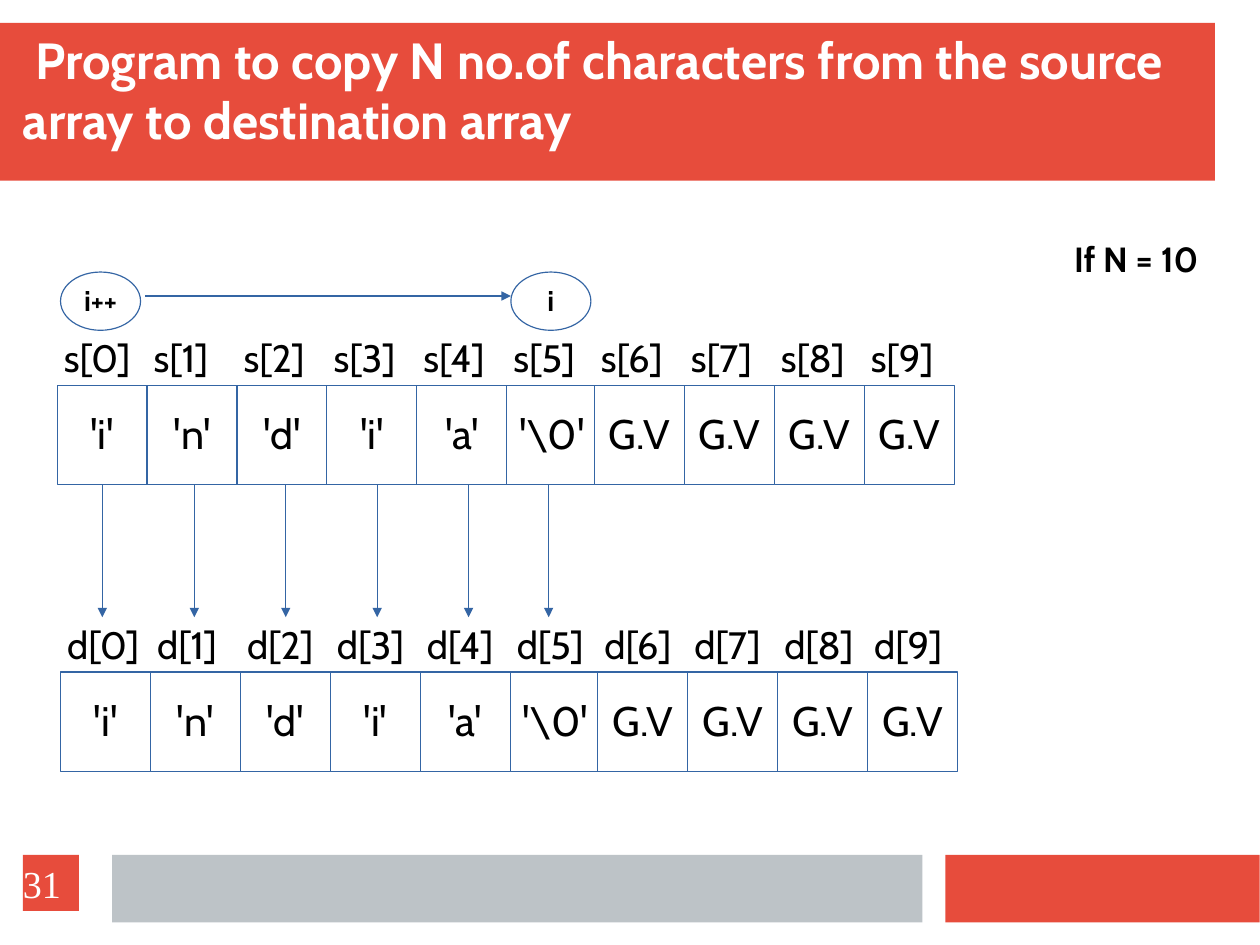
from lxml import etree
from pptx import Presentation
from pptx.dml.color import RGBColor
from pptx.enum.shapes import MSO_CONNECTOR, MSO_SHAPE
from pptx.enum.text import MSO_ANCHOR, PP_ALIGN
from pptx.oxml.ns import qn
from pptx.util import Inches, Pt

RED = RGBColor(0xE7, 0x4C, 0x3C)
GRAY = RGBColor(0xBD, 0xC3, 0xC7)
BLUE = RGBColor(0x34, 0x65, 0xA4)
WHITE = RGBColor(0xFF, 0xFF, 0xFF)
BLACK = RGBColor(0, 0, 0)
RECT, OVAL = MSO_SHAPE.RECTANGLE, MSO_SHAPE.OVAL
STRAIGHT = MSO_CONNECTOR.STRAIGHT
TOP, MIDDLE, BOTTOM = MSO_ANCHOR.TOP, MSO_ANCHOR.MIDDLE, MSO_ANCHOR.BOTTOM
LEFT, CENTER = PP_ALIGN.LEFT, PP_ALIGN.CENTER

CM_PER_INCH = 2.54
SLIDE_W, SLIDE_H = 28 / CM_PER_INCH, 21 / CM_PER_INCH
WORD = ["'i'", "'n'", "'d'", "'i'", "'a'", r"'\0'"]
VALUES = WORD + ["G.V"] * 4
CELL_W, CELL_H = 0.79, 0.87
PITCH = 7.08 / 9
GARBAGE_SHIFT = 0.02
SOURCE_X, SOURCE_Y = 0.5, 3.37
DEST_X, DEST_Y = 0.53, 5.88


def write(shape, text, size=26, color=BLACK, bold=False, font="Cabin", align=LEFT,
          anchor=TOP, wrap=False, inset=True, spacing=0.97, indent=0):
    tf = shape.text_frame
    tf.word_wrap = wrap
    tf.vertical_anchor = anchor
    tf.margin_left = tf.margin_right = Inches(0.1 if inset else 0)
    tf.margin_top = tf.margin_bottom = Inches(0.05 if inset else 0)
    p = tf.paragraphs[0]
    p.alignment = align
    p.line_spacing = spacing
    if indent:
        pPr = p._p.get_or_add_pPr()
        pPr.set("marL", "0")
        pPr.set("indent", str(Inches(indent)))
    r = p.add_run()
    r.text = text
    r.font.name = font
    r.font.size = Pt(size)
    r.font.bold = bold
    r.font.color.rgb = color


class Deck:
    """Holds the line style and the slide being drawn."""

    def __init__(self, slide, line_color=BLUE, line_width=0.75):
        self.s = slide
        self.line_color = line_color
        self.line_width = Pt(line_width)

    def outline(self, line):
        line.color.rgb = self.line_color
        line.width = self.line_width

    def shape(self, kind, x, y, w, h, fill):
        """Adds a filled preset shape without line or shadow."""
        sp = self.s.shapes.add_shape(kind, Inches(x), Inches(y), Inches(w), Inches(h))
        sp.shadow.inherit = False
        sp.fill.solid()
        sp.fill.fore_color.rgb = fill
        sp.line.fill.background()
        return sp

    def node(self, kind, x, y, w, h, text, **fmt):
        """Adds a white outlined shape with centred text."""
        sp = self.shape(kind, x, y, w, h, WHITE)
        self.outline(sp.line)
        write(sp, text, align=CENTER, anchor=MIDDLE, **fmt)
        return sp

    def text(self, x, y, w, h, text, **fmt):
        tb = self.s.shapes.add_textbox(Inches(x), Inches(y), Inches(w), Inches(h))
        write(tb, text, **fmt)

    def arrow(self, x1, y1, x2, y2):
        c = self.s.shapes.add_connector(STRAIGHT, Inches(x1), Inches(y1),
                                        Inches(x2), Inches(y2))
        self.outline(c.line)
        etree.SubElement(c.line._get_or_add_ln(), qn("a:tailEnd"), type="triangle")
        etree.SubElement(c._element.spPr, qn("a:effectLst"))
        return c

    def array(self, name, x, y):
        """Draws one array with an index label over each cell; returns the cells."""
        cells = []
        for i, value in enumerate(VALUES):
            left = x + i * PITCH
            if i >= len(WORD):
                left -= GARBAGE_SHIFT
            cells.append(self.node(RECT, left, y, CELL_W, CELL_H, value))
            self.text(left - 0.04, y - 0.47, 0.84, 0.5, f"{name}[{i}]", size=24)
        return cells


def main():
    prs = Presentation()
    prs.slide_width, prs.slide_height = Inches(SLIDE_W), Inches(SLIDE_H)
    deck = Deck(prs.slides.add_slide(prs.slide_layouts[6]))

    deck.shape(RECT, 0, 0.2, 10.63, 1.38, RED)
    deck.shape(RECT, 8.27, 7.48, 2.75, 0.59, RED)
    deck.shape(RECT, 0.98, 7.48, 7.09, 0.59, GRAY)
    deck.text(0.2, -0.23, 10.3, 1.55,
              "Program to copy N no.of characters from the source array to destination array",
              size=32, color=WHITE, bold=True, anchor=BOTTOM, wrap=True, inset=False,
              indent=0.11)

    source_cells = deck.array("s", SOURCE_X, SOURCE_Y)
    deck.array("d", DEST_X, DEST_Y)

    for x, label in ((0.53, "i++"), (4.47, "i")):
        deck.node(OVAL, x, 2.38, 0.7, 0.51, label, size=18, bold=True)
    deck.arrow(1.27, 2.59, 4.47, 2.59)

    first_x = SOURCE_X + CELL_W / 2
    first = deck.arrow(first_x, SOURCE_Y + CELL_H, first_x, 5.4)
    first.begin_connect(source_cells[0], 2)
    for x in (1.7, 2.5, 3.3, 4.1, 4.8):
        deck.arrow(x, SOURCE_Y + CELL_H, x, 5.4)

    deck.text(9.3, 2.05, 1.57, 0.45, "If N = 10", size=22, bold=True)
    number = deck.shape(RECT, 0.2, 7.48, 0.49, 0.49, RED)
    write(number, "31", size=24, color=WHITE, font="Times New Roman", anchor=MIDDLE,
          wrap=True, inset=False, spacing=1.0)

    prs.save("out.pptx")


if __name__ == "__main__":
    main()
